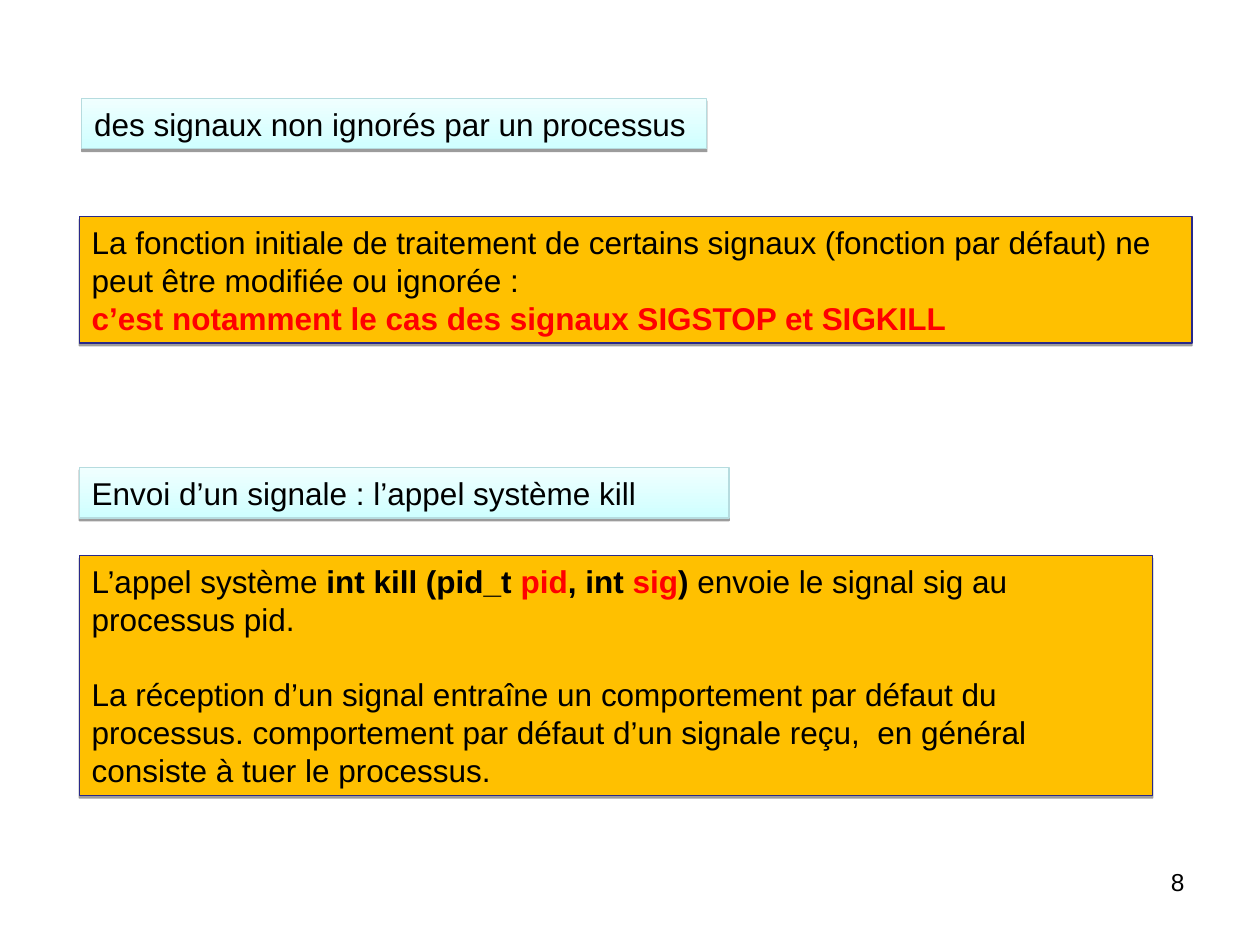
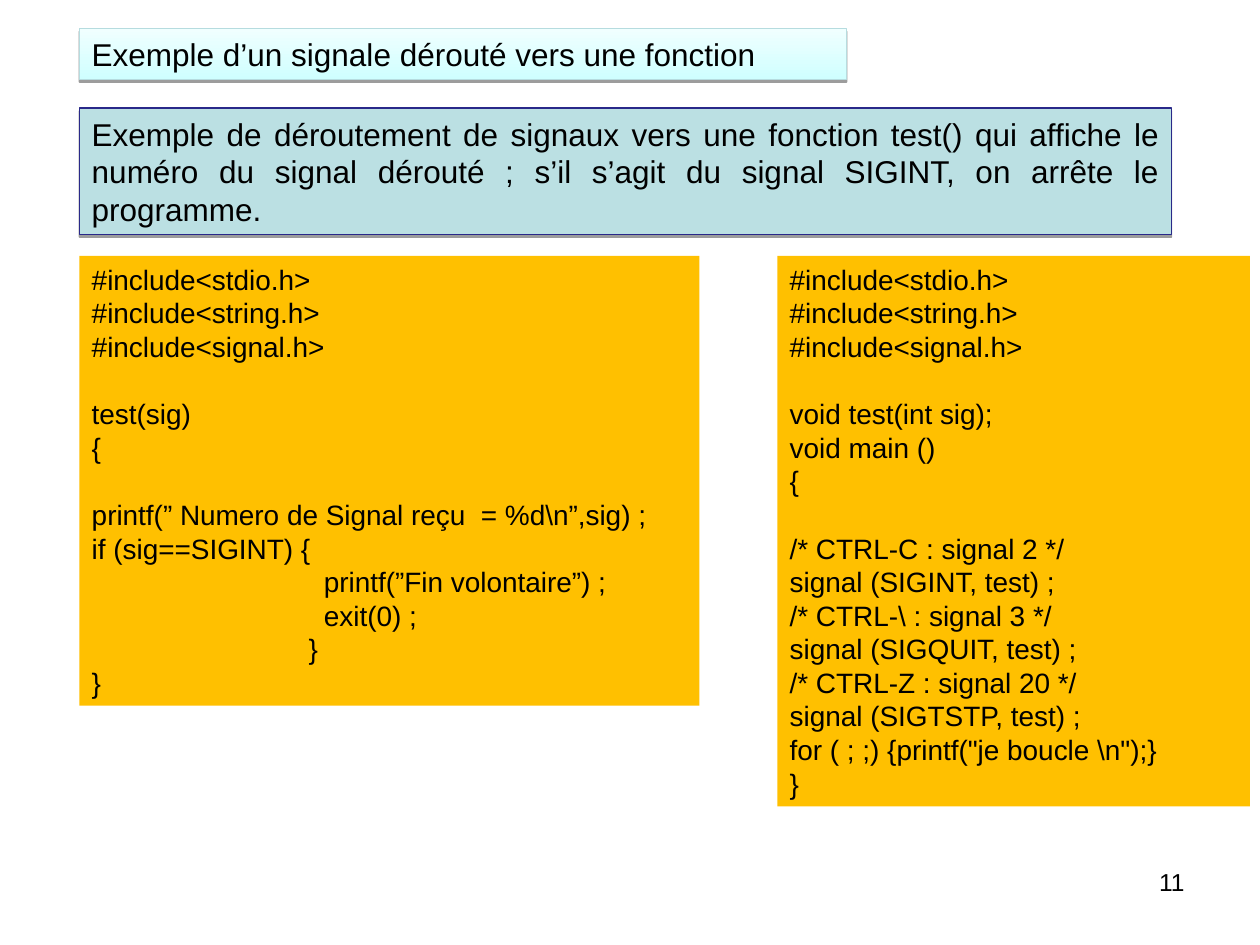
"""Build two slides about Unix signals: protected signals with kill, and a handler example."""
from dataclasses import dataclass

from lxml.etree import SubElement
from pptx import Presentation
from pptx.dml.color import RGBColor
from pptx.enum.shapes import MSO_SHAPE
from pptx.enum.text import MSO_ANCHOR, PP_ALIGN
from pptx.oxml.ns import qn
from pptx.util import Cm, Pt

BLACK = RGBColor(0, 0, 0)
RED = RGBColor(0xFF, 0, 0)
AMBER = RGBColor(0xFF, 0xC0, 0)
PALE_TEAL = RGBColor(0xBB, 0xE0, 0xE3)
NAVY = RGBColor(0x29, 0x29, 0x89)
TITLE_EDGE = RGBColor(0xB6, 0xDC, 0xDF)
TITLE_BOTTOM = RGBColor(0xCF, 0xFF, 0xFF)
TITLE_TOP = RGBColor(0xF0, 0xFF, 0xFF)

FONT = "Arial"
LINE_FACTOR = 1.2
PAD_X, PAD_Y = Cm(0.25), Cm(0.13)
LEFT = 1.6
CODE_TOP = 5.16


@dataclass
class Style:
    fill: tuple
    edge: RGBColor | None = None
    size: int = 18
    align: PP_ALIGN = PP_ALIGN.LEFT


TITLE = Style((TITLE_BOTTOM, TITLE_TOP), TITLE_EDGE)
NOTE = Style((AMBER,), NAVY)
STATEMENT = Style((PALE_TEAL,), NAVY, align=PP_ALIGN.JUSTIFY)
CODE = Style((AMBER,), size=16)


@dataclass
class Line:
    runs: tuple
    gap_before: bool = False
    indent: float = 0


def plain(text, **layout):
    return Line(((text, BLACK, False),), **layout)


INCLUDES = [plain(f"#include<{header}.h>") for header in ("stdio", "string", "signal")]

DEFAULT_ACTION = [
    plain("La fonction initiale de traitement de certains signaux (fonction par défaut) ne "
          "peut être modifiée ou ignorée :"),
    Line((("c’est notamment le cas des signaux SIGSTOP et SIGKILL", RED, True),)),
]

KILL_CALL = [
    Line((
        ("L’appel système ", BLACK, False),
        ("int kill (pid_t ", BLACK, True),
        ("pid", RED, True),
        (", int ", BLACK, True),
        ("sig", RED, True),
        (") ", BLACK, True),
        ("envoie le signal sig au processus pid.", BLACK, False),
    )),
    plain("La réception d’un signal entraîne un comportement par défaut du processus. "
          "comportement par défaut d’un signale reçu,  en général consiste à tuer le "
          "processus.", gap_before=True),
]

HANDLER_CODE = INCLUDES + [
    plain("test(sig)", gap_before=True),
    plain("{"),
    plain("printf(” Numero de Signal reçu  = %d\\n”,sig) ;", gap_before=True),
    plain("if (sig==SIGINT) {"),
    plain("printf(”Fin volontaire”) ;", indent=4.68),
    plain("exit(0) ;", indent=4.68),
    plain("}", indent=4.37),
    plain("}"),
]

MAIN_CODE = INCLUDES + [
    plain("void test(int sig);", gap_before=True),
    plain("void main ()"),
    plain("{"),
    plain("/* CTRL-C : signal 2 */", gap_before=True),
    plain("signal (SIGINT, test) ;"),
    plain("/* CTRL-\\ : signal 3 */"),
    plain("signal (SIGQUIT, test) ;"),
    plain("/* CTRL-Z : signal 20 */"),
    plain("signal (SIGTSTP, test) ;"),
    plain("for ( ; ;) {printf(\"je boucle \\n\");}"),
    plain("}"),
]

# fmt: off
SLIDES = [
    ("8", [
        (TITLE, 1.65, 1.98, 12.6, 1, [plain("des signaux non ignorés par un processus")]),
        (NOTE, LEFT, 4.37, 22.43, 3, DEFAULT_ACTION),
        (NOTE, LEFT, 11.2, 21.64, 6, KILL_CALL),
        (TITLE, LEFT, 9.42, 13.1, 1, [plain("Envoi d’un signale : l’appel système kill")]),
    ]),
    ("11", [
        (STATEMENT, LEFT, 2.18, 22.02, 3, [plain(
            "Exemple de déroutement de signaux vers une fonction test() qui affiche le "
            "numéro du signal dérouté ; s’il s’agit du signal SIGINT, on arrête le "
            "programme.")]),
        (CODE, LEFT, CODE_TOP, 12.5, 13, HANDLER_CODE),
        (TITLE, LEFT, 0.58, 15.47, 1, [plain("Exemple d’un signale dérouté vers une fonction")]),
        (CODE, 15.67, CODE_TOP, 9.53, 16, MAIN_CODE),
    ]),
]


def write(frame, lines, size, align):
    frame.word_wrap = True
    frame.vertical_anchor = MSO_ANCHOR.TOP
    frame.margin_left = frame.margin_right = PAD_X
    frame.margin_top = frame.margin_bottom = PAD_Y
    pitch = Pt(size * LINE_FACTOR)
    for number, line in enumerate(lines):
        paragraph = frame.add_paragraph() if number else frame.paragraphs[0]
        paragraph.alignment = align
        paragraph.line_spacing = pitch
        if line.gap_before:
            paragraph.space_before = pitch
        if line.indent:
            properties = paragraph._p.get_or_add_pPr()
            properties.set("marL", str(Cm(line.indent)))
            properties.set("indent", "0")
        for text, color, bold in line.runs:
            run = paragraph.add_run()
            run.text = text
            run.font.name, run.font.size, run.font.bold = FONT, Pt(size), bold
            run.font.color.rgb = color


def paint(fill, colors):
    if len(colors) == 1:
        fill.solid()
        fill.fore_color.rgb = colors[0]
        return
    fill.gradient()
    fill.gradient_angle = 90
    for stop, color in zip(fill.gradient_stops, colors):
        stop.color.rgb = color


def drop_shadow(shape):
    effects = shape._element.spPr.find(qn("a:effectLst"))
    shadow = SubElement(effects, qn("a:outerShdw"), blurRad="0", dist=str(Pt(1.6)),
                        dir="5400000", rotWithShape="0")
    color = SubElement(shadow, qn("a:srgbClr"), val="000000")
    SubElement(color, qn("a:alpha"), val="38000")


def add_panel(slide, style, left, top, width, rows, lines):
    height = 2 * PAD_Y + rows * Pt(style.size * LINE_FACTOR)
    panel = slide.shapes.add_shape(MSO_SHAPE.RECTANGLE, Cm(left), Cm(top), Cm(width), height)
    paint(panel.fill, style.fill)
    panel.shadow.inherit = False
    if style.edge is None:
        panel.line.fill.background()
    else:
        panel.line.color.rgb = style.edge
        panel.line.width = Pt(0.75)
        drop_shadow(panel)
    write(panel.text_frame, lines, style.size, style.align)


def add_page_number(slide, number):
    footer = slide.shapes.add_textbox(Cm(18.2), Cm(17.35), Cm(5.93), Cm(1.32))
    write(footer.text_frame, [plain(number)], 14, PP_ALIGN.RIGHT)


def main():
    deck = Presentation()
    deck.slide_width, deck.slide_height = Cm(25.4), Cm(19.05)
    for number, panels in SLIDES:
        slide = deck.slides.add_slide(deck.slide_layouts[6])
        add_page_number(slide, number)
        for panel in panels:
            add_panel(slide, *panel)
    deck.save("out.pptx")


if __name__ == "__main__":
    main()
